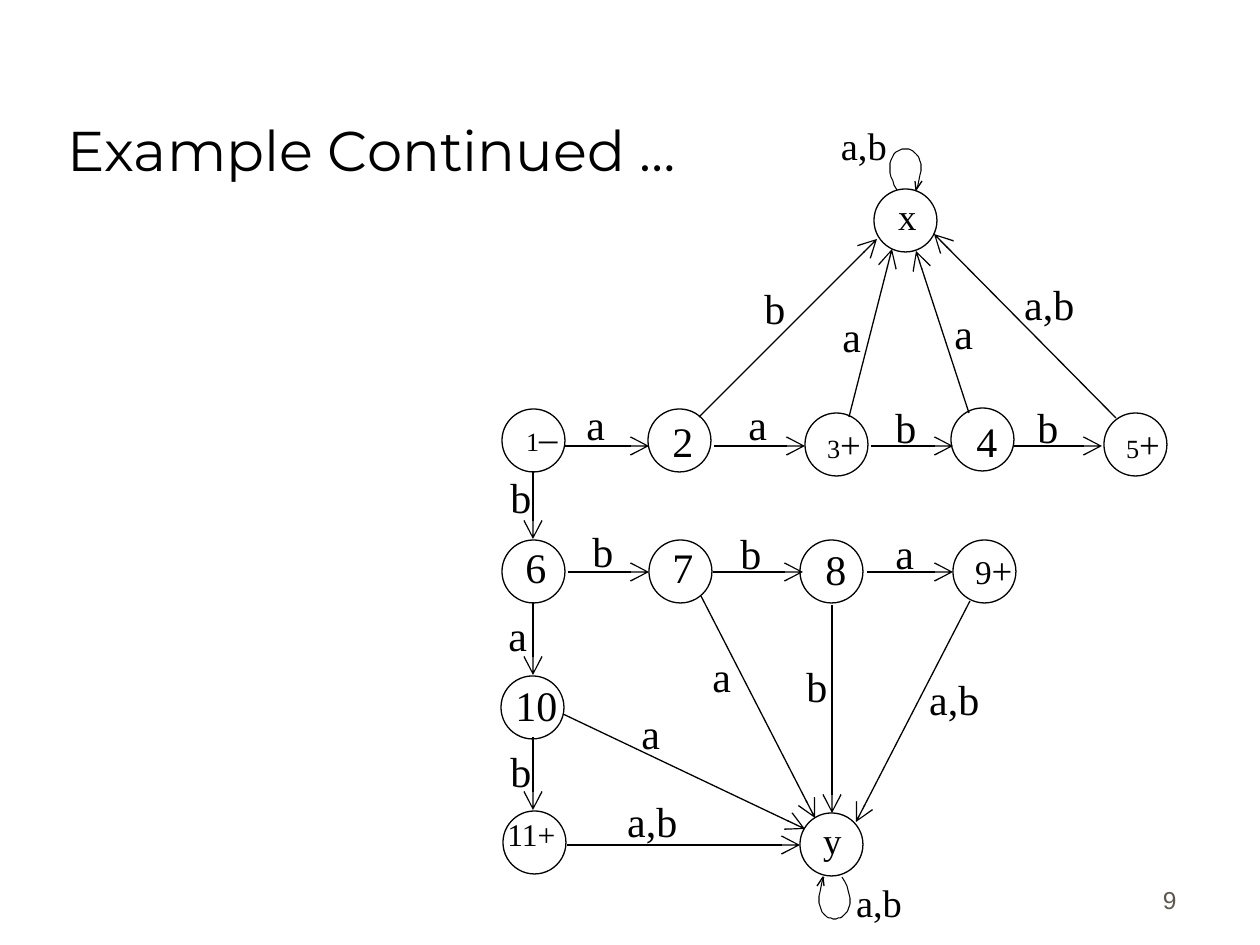
from lxml.etree import SubElement
from pptx import Presentation
from pptx.dml.color import RGBColor
from pptx.enum.shapes import MSO_CONNECTOR as Link, MSO_SHAPE as Shape
from pptx.enum.text import MSO_ANCHOR as Anchor, PP_ALIGN as Align
from pptx.oxml.ns import qn
from pptx.util import Emu, Pt

BLACK = RGBColor(0, 0, 0)
WHITE = RGBColor(255, 255, 255)
GRAY = RGBColor(0x5E, 0x57, 0x4E)
SERIF = "Times New Roman"
SCALE = 914400 / 126
CIRCLE = 63
LABEL_HEIGHT = 63

CIRCLES = [
    (874, 189), (1104, 413), (502, 409), (648, 409), (951, 408), (805, 413),
    (800, 540), (649, 540), (502, 540), (953, 540), (501, 676), (503, 811), (800, 813),
]
OFFSET_STATES = [
    ([("x", 21)], 857, 166, 41),
    ([("5", 15), ("+", 21)], 1085, 394, 41),
    ([("1", 15), ("–", 21)], 483, 387, 43),
    ([("y", 21)], 782, 790, 41),
    ([("3", 15), ("+", 21)], 786, 394, 41),
    ([("9", 19), ("+", 21)], 934, 520, 41),
]
ARROWS = [
    (564, 446, 649, 446), (714, 446, 805, 446), (871, 446, 953, 446), (1014, 446, 1102, 446),
    (568, 572, 649, 572), (713, 572, 803, 572), (867, 572, 953, 572), (567, 845, 800, 845),
    (533, 471, 533, 539), (533, 602, 533, 675), (533, 737, 533, 810),
    (699, 417, 877, 239), (849, 417, 892, 249), (969, 413, 916, 251), (1116, 418, 934, 234),
    (970, 601, 856, 822), (832, 605, 832, 813), (701, 596, 815, 818), (563, 714, 805, 829),
]
LABELS = [
    ("a", 564, 393), ("a", 726, 393), ("a", 820, 305), ("a", 932, 302), ("a,b", 1002, 273),
    ("b", 1016, 396), ("b", 874, 396), ("b", 743, 277), ("b", 489, 466), ("b", 571, 520),
    ("b", 719, 522), ("a", 873, 522), ("a", 486, 604), ("a", 690, 645), ("a", 619, 702),
    ("b", 489, 740), ("b", 785, 655), ("a,b", 907, 668), ("a,b", 605, 790),
    ("2", 651, 410), ("4", 955, 410), ("6", 504, 536), ("7", 651, 536), ("8", 804, 538),
    ("10", 494, 674),
]
LABEL_WIDTHS = {1: 63, 2: 84, 3: 94}
LOOPS = [
    ([(897, 190), (867, 139), (940, 131), (916, 190)], [(922, 181), (916, 190), (915, 181)]),
    ([(842, 877), (873, 929), (800, 936), (824, 877)], [(817, 886), (823, 877), (824, 886)]),
]
LOOP_LABELS = [("a,b", 828, 116), ("a,b", 843, 873)]


def px(value):
    return Emu(round(value * SCALE))


def add_text(page, spans, left, top, width, height, font=SERIF, color=BLACK,
             align=Align.LEFT, anchor=Anchor.TOP, margins=(13, 6)):
    box = page.shapes.add_textbox(px(left), px(top), px(width), px(height))
    frame = box.text_frame
    frame.word_wrap = True
    frame.vertical_anchor = anchor
    frame.margin_left, frame.margin_top = map(px, margins)
    para = frame.paragraphs[0]
    para.alignment = align
    para.font.name = font
    para.font.color.rgb = color
    for text, size in spans:
        span = para.add_run()
        span.text = text
        span.font.size = Pt(size)


def style_line(shape, width=0.75):
    shape.line.color.rgb = BLACK
    shape.line.width = Pt(width)


def add_arrow(page, start_x, start_y, end_x, end_y):
    arrow = page.shapes.add_connector(Link.STRAIGHT, *map(px, (start_x, start_y, end_x, end_y)))
    style_line(arrow)
    SubElement(arrow.line._get_or_add_ln(), qn("a:tailEnd"), type="arrow", w="lg", len="lg")
    SubElement(arrow._element.spPr, qn("a:effectLst"))


def add_curve(page, points, width):
    builder = page.shapes.build_freeform(*points[0], scale=SCALE)
    builder.add_line_segments(points[1:], close=False)
    curve = builder.convert_to_shape()
    curve.shadow.inherit = False
    curve.fill.background()
    style_line(curve, width)


def bezier(controls, steps=32):
    points = []
    for step in range(steps + 1):
        t = step / steps
        weights = ((1 - t) ** 3, 3 * t * (1 - t) ** 2, 3 * t * t * (1 - t), t ** 3)
        points.append(tuple(sum(w * c[axis] for w, c in zip(weights, controls)) for axis in (0, 1)))
    return points


def main():
    deck = Presentation()
    deck.slide_width, deck.slide_height = px(1260), px(945)
    page = deck.slides.add_slide(deck.slide_layouts[6])

    add_text(page, [("9", 14)], 927, 858, 262, 63, "Arial", GRAY, Align.RIGHT, Anchor.BOTTOM)
    add_text(page, [("Example Continued …", 32)], 55, 32, 1071, 157, "Montserrat", anchor=Anchor.BOTTOM)

    for left, top in CIRCLES:
        circle = page.shapes.add_shape(Shape.OVAL, px(left), px(top), px(CIRCLE), px(CIRCLE))
        circle.shadow.inherit = False
        circle.fill.solid()
        circle.fill.fore_color.rgb = WHITE
        style_line(circle)
    for controls, head in LOOPS:
        add_curve(page, bezier(controls), 0.6)
        add_curve(page, head, 0.75)
    for arrow in ARROWS:
        add_arrow(page, *arrow)

    for spans, left, top, indent in OFFSET_STATES:
        add_text(page, spans, left, top, 96, 67, margins=(indent, 28))
    for text, left, top in LABELS:
        add_text(page, [(text, 24)], left, top, LABEL_WIDTHS[len(text)], LABEL_HEIGHT, align=Align.CENTER)
    for text, left, top in LOOP_LABELS:
        add_text(page, [(text, 22)], left, top, 82, 55)
    add_text(page, [("11+", 18)], 489, 809, 84, 50, align=Align.CENTER)
    deck.save("out.pptx")


if __name__ == "__main__":
    main()
